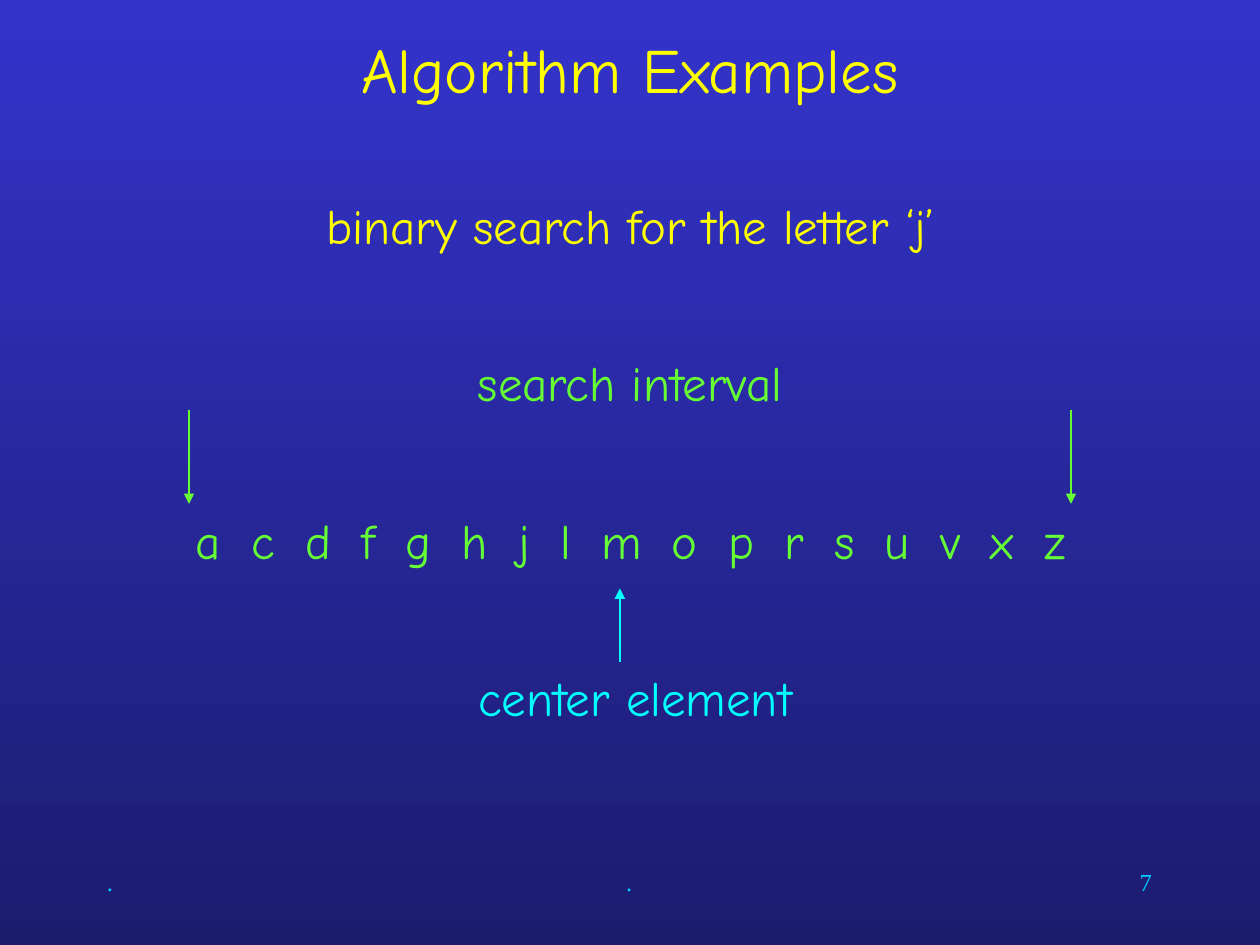
from lxml import etree
from pptx import Presentation
from pptx.dml.color import RGBColor
from pptx.enum import shapes, text
from pptx.oxml.ns import qn
from pptx.util import Inches, Pt

COLORS = {
    "top": "3333CC", "bottom": "1C1C6F", "heading": "FFFF00",
    "interval": "66FF33", "center": "00FFFF", "footer": "00CCFF",
}
BODY_FONT, FOOTER_FONT = "Comic Neue", "Times New Roman"
LETTERS = "acdfghjlmoprsuvxz"
LABEL_HEIGHT = 0.57
ALIGN = text.PP_ALIGN


def rgb(name):
    return RGBColor.from_string(COLORS[name])


def add_text(parent, box, content, color, size=28, font=BODY_FONT, align=ALIGN.CENTER):
    sp = parent.add_textbox(*(Inches(v) for v in box))
    tf = sp.text_frame
    tf.word_wrap = True
    p = tf.paragraphs[0]
    p.text = content
    p.alignment = align
    p.font.size, p.font.name = Pt(size), font
    p.font.color.rgb = rgb(color)
    return sp


def add_arrow(parent, x, y1, y2, color):
    line = parent.add_connector(
        shapes.MSO_CONNECTOR.STRAIGHT, Inches(x), Inches(y1), Inches(x), Inches(y2))
    line.line.color.rgb = rgb(color)
    line.line.width = Pt(1.5)
    etree.SubElement(line.line._get_or_add_ln(), qn("a:tailEnd"), type="triangle")
    etree.SubElement(line._element.spPr, qn("a:effectLst"))


def add_background(s):
    fill = s.background.fill
    fill.gradient()
    fill.gradient_angle = 270
    for stop, name, position in zip(fill.gradient_stops, ("top", "bottom"), (0, 1)):
        stop.color.rgb = rgb(name)
        stop.position = position


def add_headings(s, left, top):
    title = add_text(s.shapes, (left, top, 8.5, 0.75), "Algorithm Examples", "heading", 36)
    title.text_frame.vertical_anchor = text.MSO_ANCHOR.MIDDLE
    add_text(s.shapes, (left + 0.17, top + 1.33, 8.17, LABEL_HEIGHT),
             "binary search for the letter ‘j’", "heading")


def add_letter_row(s, left, top, width):
    """Letters in one line, with the spaces between them widened."""
    sp = add_text(s.shapes, (left, top, width, LABEL_HEIGHT), "", "interval")
    p = sp.text_frame.paragraphs[0]
    for i, letter in enumerate(LETTERS):
        if i:
            gap = p.add_run()
            gap.text = " "
            gap.font._element.set("spc", "800")
        p.add_run().text = letter


def add_search_interval(s, left, top, width):
    add_text(s.shapes, (left + 2, top, 3, LABEL_HEIGHT), "search interval", "interval")
    for x in (left, left + width):
        add_arrow(s.shapes, x, top + 0.5, top + 1.25, "interval")


def add_center_element(s, left, top):
    group = s.shapes.add_group_shape()
    add_text(group.shapes, (left, top, 3.08, LABEL_HEIGHT), "center element", "center")
    add_arrow(group.shapes, left + 1.42, top, top - 0.58, "center")


def add_footer(s, left, top):
    for content, width, align in ((".", 2.08, ALIGN.LEFT), (".", 4.33, ALIGN.CENTER),
                                  ("7", 2.08, ALIGN.RIGHT)):
        add_text(s.shapes, (left, top, width, 0.5), content, "footer", 14, FOOTER_FONT, align)
        left += width


def main():
    prs = Presentation()
    prs.slide_width, prs.slide_height = Inches(10), Inches(7.5)
    s = prs.slides.add_slide(prs.slide_layouts[6])
    add_background(s)
    add_footer(s, 0.75, 6.83)
    add_headings(s, 0.75, 0.17)
    add_letter_row(s, 0.92, 4, 8.17)
    add_search_interval(s, 1.5, 2.75, 7)
    add_center_element(s, 3.5, 5.25)
    prs.save("out.pptx")


if __name__ == "__main__":
    main()
